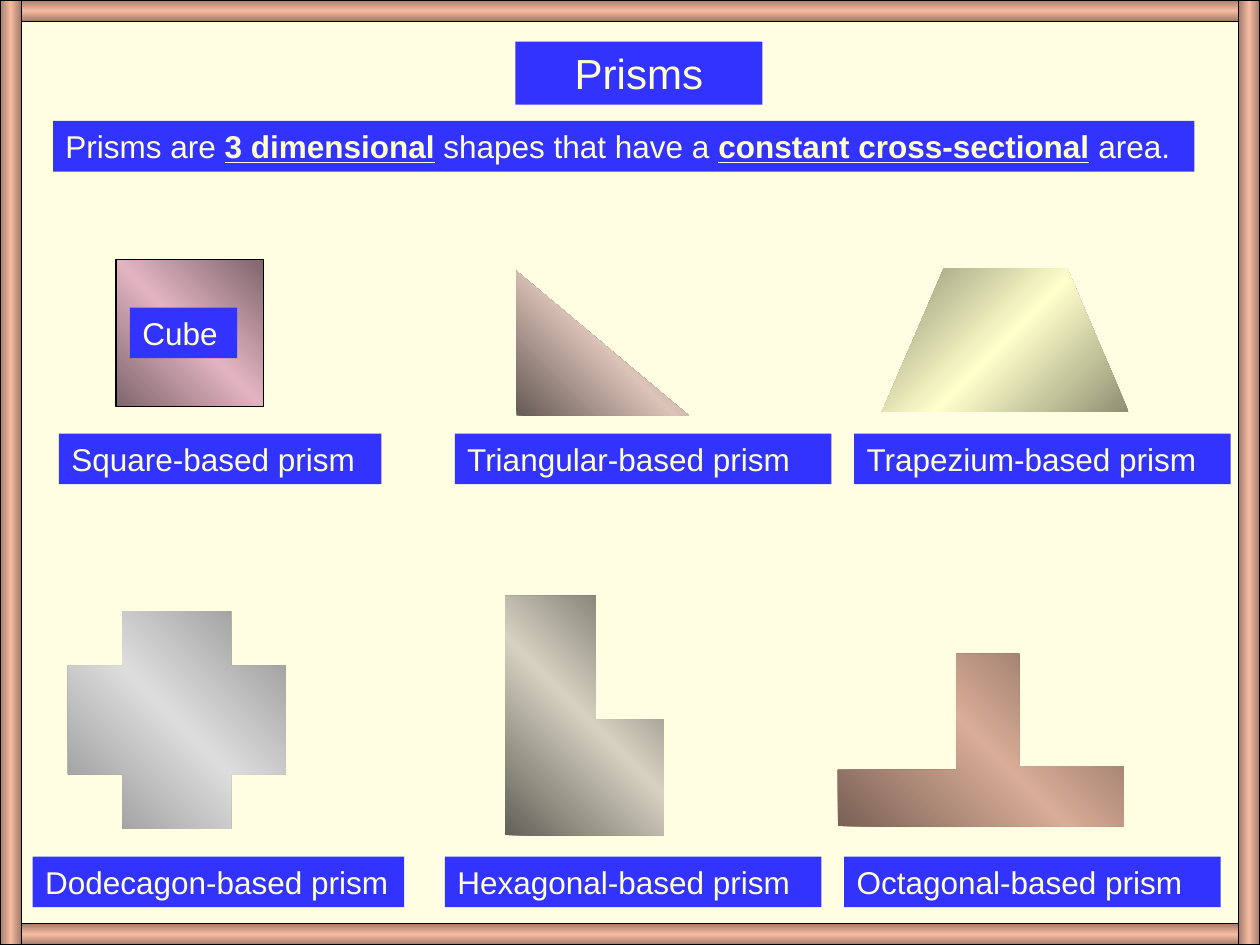
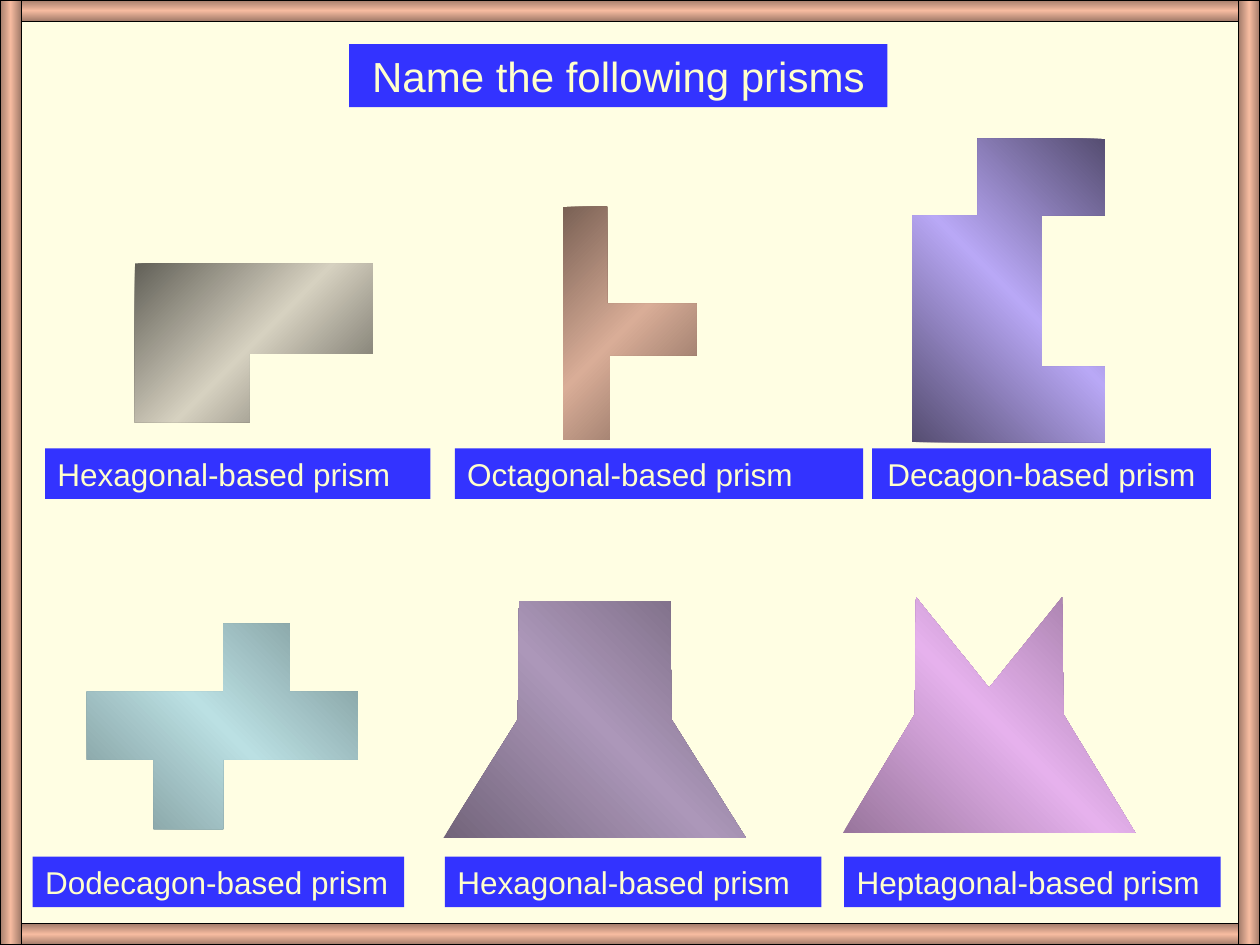
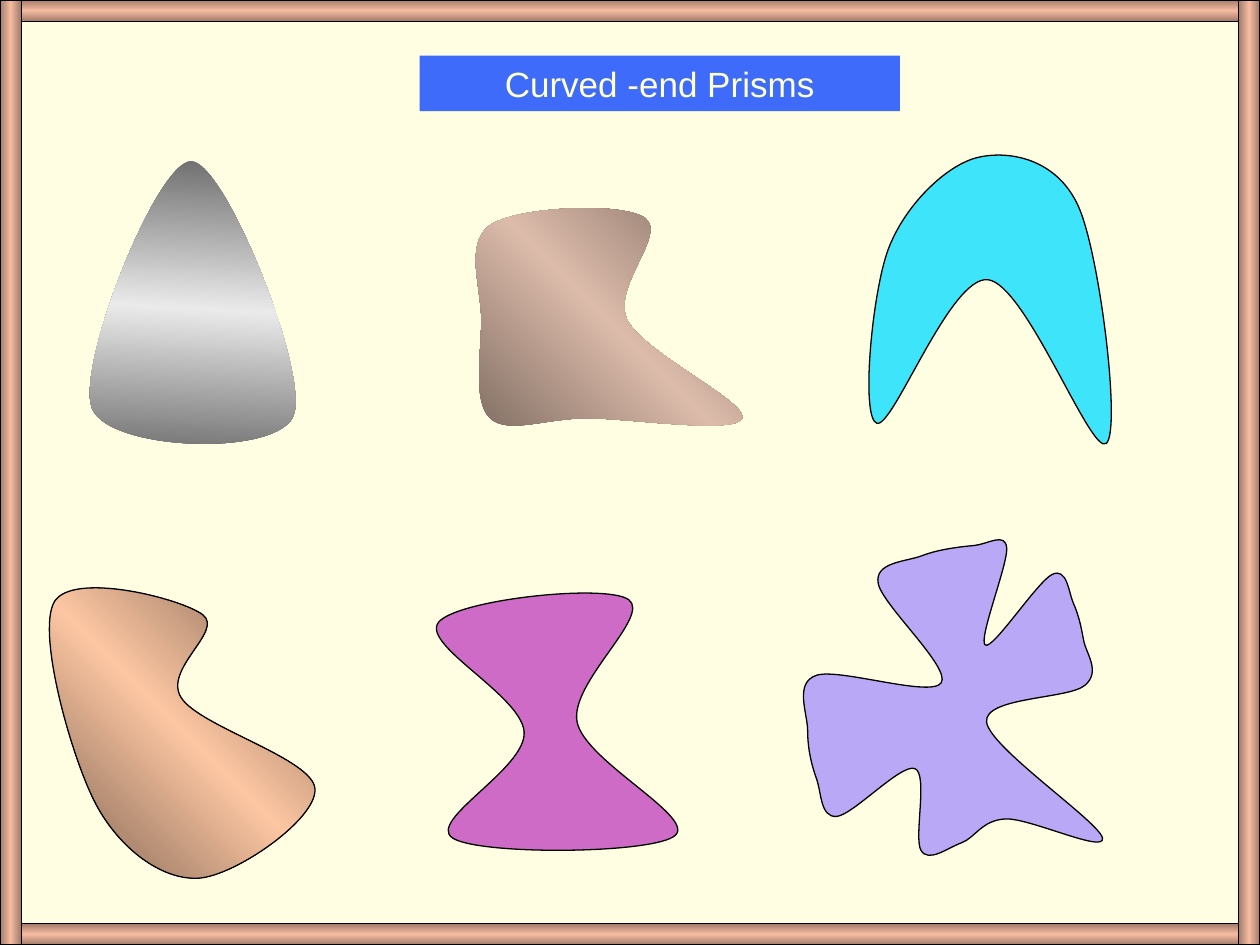
from copy import deepcopy

from pptx import Presentation
from pptx.dml.color import RGBColor
from pptx.enum import shapes, text
from pptx.oxml import ns, xmlchemy
from pptx.util import Cm, Pt

# Shared colours
CREAM = RGBColor.from_string("FFFEE3")
PALE_YELLOW = RGBColor.from_string("FFFFCC")
BLACK = RGBColor.from_string("000000")
BLUE = RGBColor.from_string("3333FF")
SKY_BLUE = RGBColor.from_string("3E6BFA")
CYAN = RGBColor.from_string("3EE4FA")
MAGENTA = RGBColor.from_string("CD6BC6")
LILAC = RGBColor.from_string("B9A8F6")
COPPER = RGBColor.from_string("F6BBA0")
ROSE = RGBColor.from_string("E2B4C1")
BEIGE = RGBColor.from_string("DDC4B9")
GREY = RGBColor.from_string("DDDDDD")
STONE = RGBColor.from_string("D6D1C0")
CLAY = RGBColor.from_string("D9AD97")
TEAL = RGBColor.from_string("BBE0E3")
MAUVE = RGBColor.from_string("AC97B9")
PINK = RGBColor.from_string("E6B1ED")
PEACH = RGBColor.from_string("FCC6A2")
SILVER = RGBColor.from_string("EAEAEA")
SAND = RGBColor.from_string("DCBBAA")

# Brightness of the outer tone of a gradient against its middle; PLAIN has none
DEEP, MEDIUM, SOFT, PLAIN = 0.46, 0.56, 0.66, 1
FALLING, RISING = 135, 45  # gradient angles

FONT = "Arial"
LEFT, CENTER = text.PP_ALIGN.LEFT, text.PP_ALIGN.CENTER
WIDTH, HEIGHT, BAND = 25.4, 19.05, 0.43
LABEL_HEIGHT = 1.02
MESH = Cm(2.54) / 100  # one step of the outline coordinates


def paint(shape, colour, shade, angle=FALLING, outlined=False):
    """Fill with one colour, or with a dark-light-dark gradient turned clockwise."""
    shape.shadow.inherit = False
    if shade == PLAIN:
        shape.fill.solid()
        shape.fill.fore_color.rgb = colour
    else:
        shape.fill.gradient()
        shape.fill.gradient_angle = 360 - angle
        stop_list = shape._element.spPr.find(".//" + ns.qn("a:gsLst"))
        stop_list.append(deepcopy(stop_list[0]))
        dark = RGBColor(*(round(part * shade) for part in colour))
        for index, stop in enumerate(shape.fill.gradient_stops):
            stop.position = index / 2
            stop.color.rgb = colour if index == 1 else dark
    if outlined:
        shape.line.color.rgb = BLACK
        shape.line.width = Pt(0.75)
    else:
        shape.line.fill.background()


def write(box, spans, size=18, align=LEFT, colour=BLUE):
    """Fill a text box and write its spans, every second one emphasised."""
    box.fill.solid()
    box.fill.fore_color.rgb = colour
    frame = box.text_frame
    frame.word_wrap = True
    frame.auto_size = text.MSO_AUTO_SIZE.NONE
    frame.vertical_anchor = text.MSO_ANCHOR.MIDDLE
    para = frame.paragraphs[0]
    para.alignment = align
    for index, words in enumerate(spans):
        span = para.add_run()
        span.text = words
        span.font.name = FONT
        span.font.size = Pt(size)
        span.font.color.rgb = PALE_YELLOW
        if index % 2:
            span.font.bold = True
            span.font.underline = True


deck = Presentation()
deck.slide_width, deck.slide_height = Cm(WIDTH), Cm(HEIGHT)
backdrop = deck.slide_master.background.fill
backdrop.solid()
backdrop.fore_color.rgb = CREAM

# Titles: words, left, top, width, height, size, colour
titles = [
    ("Prisms", 10.39, 0.84, 4.98, 1.27, 24, BLUE),
    ("Name the following prisms", 7.04, 0.89, 10.85, 1.27, 24, BLUE),
    ("Curved -end Prisms", 8.46, 1.12, 9.68, 1.12, 20, SKY_BLUE),
]
# Frame: left, top, width, height, gradient angle
frame_bands = [
    (0, HEIGHT - BAND, WIDTH, BAND, 90),
    (0, 0, WIDTH, BAND, 90),
    (WIDTH - BAND, 0, BAND, HEIGHT, 180),
    (0, 0, BAND, HEIGHT, 180),
]
pages = []
for words, left, top, width, height, size, colour in titles:
    page = deck.slides.add_slide(deck.slide_layouts[5])
    pages.append(page)
    title = page.shapes.title
    title.left, title.top = Cm(left), Cm(top)
    title.width, title.height = Cm(width), Cm(height)
    write(title, [words], size, CENTER, colour)
    for left, top, width, height, angle in frame_bands:
        band = page.shapes.add_shape(shapes.MSO_SHAPE.RECTANGLE,
                                     Cm(left), Cm(top), Cm(width), Cm(height))
        paint(band, COPPER, SOFT, angle, outlined=True)
prisms, naming, curved = pages

# Cross-sections that are preset shapes
presets = [
    (shapes.MSO_SHAPE.RECTANGLE, 2.34, 5.23, 2.97, 2.97, ROSE, MEDIUM),
    (shapes.MSO_SHAPE.RIGHT_TRIANGLE, 10.41, 5.46, 3.48, 2.92, BEIGE, DEEP),
    (shapes.MSO_SHAPE.CROSS, 1.37, 12.32, 4.39, 4.39, GREY, SOFT),
]
for kind, left, top, width, height, colour, shade in presets:
    section = prisms.shapes.add_shape(kind, Cm(left), Cm(top), Cm(width), Cm(height))
    paint(section, colour, shade, outlined=colour == ROSE)

# Right-angled cross-sections: the x of each upright side, the y of each level one
outlines = []
stepped = [
    (prisms, STONE, DEEP, FALLING, (401, 527, 473), (473, 663, 571)),
    (prisms, CLAY, MEDIUM, FALLING, (665, 759, 809, 892), (656, 611, 519, 608)),
    (naming, STONE, DEEP, RISING, (107, 198, 296), (209, 335, 281)),
    (naming, CLAY, MEDIUM, RISING, (447, 482, 553, 484), (349, 164, 241, 282)),
    (naming, LILAC, DEEP, FALLING,
     (776, 724, 877, 827, 877), (110, 171, 351, 291, 171)),
    (naming, TEAL, SOFT, FALLING,
     (69, 177, 230, 284, 177, 122), (603, 549, 495, 549, 603, 658)),
]
for page, colour, shade, angle, uprights, levels in stepped:
    corners = []
    for x, start, end in zip(uprights, levels, levels[1:] + levels[:1]):
        corners += [(x, start), (x, end)]
    outlines.append((page, colour, shade, angle, corners))

# Symmetrical cross-sections: axis and the corners on its left
mirrored = [
    (prisms, PALE_YELLOW, MEDIUM, RISING, 798, [(700, 327), (749, 213)]),
    (naming, MAUVE, SOFT, FALLING, 472, [(352, 665), (411, 571), (412, 477)]),
    (naming, PINK, SOFT, FALLING, 785,
     [(669, 661), (726, 567), (727, 474), (785, 546)]),
]
for page, colour, shade, angle, axis, half in mirrored:
    other_half = [(2 * axis - x, y) for x, y in reversed(half)]
    outlines.append((page, colour, shade, angle, half + other_half))

for page, colour, shade, angle, corners in outlines:
    builder = page.shapes.build_freeform(*corners[0], scale=MESH)
    builder.add_line_segments(corners[1:], close=True)
    paint(builder.convert_to_shape(), colour, shade, angle)

# Curved cross-sections: colour, shade, angle, outlined, points on the curve
curves = [
    (PEACH, DEEP, FALLING, True, [
        (43, 478), (161, 488), (144, 554), (250, 626), (158, 697), (76, 638)]),
    (CYAN, PLAIN, 0, True, [
        (878, 352), (784, 222), (696, 336), (705, 198), (776, 125), (856, 164)]),
    (MAGENTA, PLAIN, 0, True, [
        (458, 573), (536, 663), (359, 665), (416, 581), (348, 494), (499, 476)]),
    (LILAC, PLAIN, 0, True, [
        (782, 512), (835, 456), (852, 479), (860, 508), (861, 544),
        (783, 573), (875, 665), (798, 650), (763, 669), (731, 675),
        (726, 610), (664, 648), (648, 618), (641, 580), (648, 536),
        (747, 542), (697, 463), (732, 441), (773, 433), (799, 435)]),
    (SILVER, DEEP, 93, False, [(152, 128), (233, 330), (73, 324)]),
    (SAND, MEDIUM, FALLING, False, [
        (382, 254), (389, 332), (466, 332), (589, 332), (498, 254),
        (512, 173), (390, 178)]),
]
for colour, shade, angle, outlined, knots in curves:
    # Each handle is a sixth of the way between the knots on either side
    handles = []
    for index, (x, y) in enumerate(knots):
        before, after = knots[index - 1], knots[(index + 1) % len(knots)]
        dx, dy = (after[0] - before[0]) / 6, (after[1] - before[1]) / 6
        handles.append([(x - dx, y - dy), (x, y), (x + dx, y + dy)])
    points = [point for trio in handles for point in trio]
    points = points[2:] + points[:2]
    builder = curved.shapes.build_freeform(*knots[0], scale=MESH)
    builder.add_line_segments(points, close=True)
    section = builder.convert_to_shape()
    # Join every three segments into one Bézier curve
    segments = section._element.findall(".//" + ns.qn("a:lnTo"))
    for first in range(0, len(segments), 3):
        bend = xmlchemy.OxmlElement("a:cubicBezTo")
        segments[first].addprevious(bend)
        for segment in segments[first:first + 3]:
            bend.append(segment[0])
            segment.getparent().remove(segment)
    paint(section, colour, shade, angle, outlined)

# Rows of labels: page, top, then left, width and words of each label
bottom_row = [(0.66, 7.49, "Dodecagon"), (8.97, 7.59, "Hexagonal")]
label_rows = [
    (prisms, 8.74, [(1.19, 6.5, "Square"), (9.17, 7.59, "Triangular"),
                    (17.22, 7.59, "Trapezium")]),
    (naming, 9.04, [(0.91, 7.77, "Hexagonal"), (9.17, 8.23, "Octagonal"),
                    (17.58, 6.83, "Decagon")]),
    (prisms, 17.27, bottom_row + [(17.02, 7.59, "Octagonal")]),
    (naming, 17.27, bottom_row + [(17.02, 7.59, "Heptagonal")]),
]
for page, top, row in label_rows:
    for left, width, base in row:
        label = page.shapes.add_textbox(Cm(left), Cm(top), Cm(width), Cm(LABEL_HEIGHT))
        align = CENTER if base == "Decagon" else LEFT
        write(label, [f"{base}-based prism"], align=align)

# Cube label and definition of a prism
cube = prisms.shapes.add_textbox(Cm(2.62), Cm(6.2), Cm(2.16), Cm(LABEL_HEIGHT))
write(cube, ["Cube"])
definition = prisms.shapes.add_textbox(Cm(1.07), Cm(2.44), Cm(23.01), Cm(LABEL_HEIGHT))
write(definition, ["Prisms are ", "3 dimensional", " shapes that have a ",
                   "constant cross-sectional", " area."])

deck.save("out.pptx")
